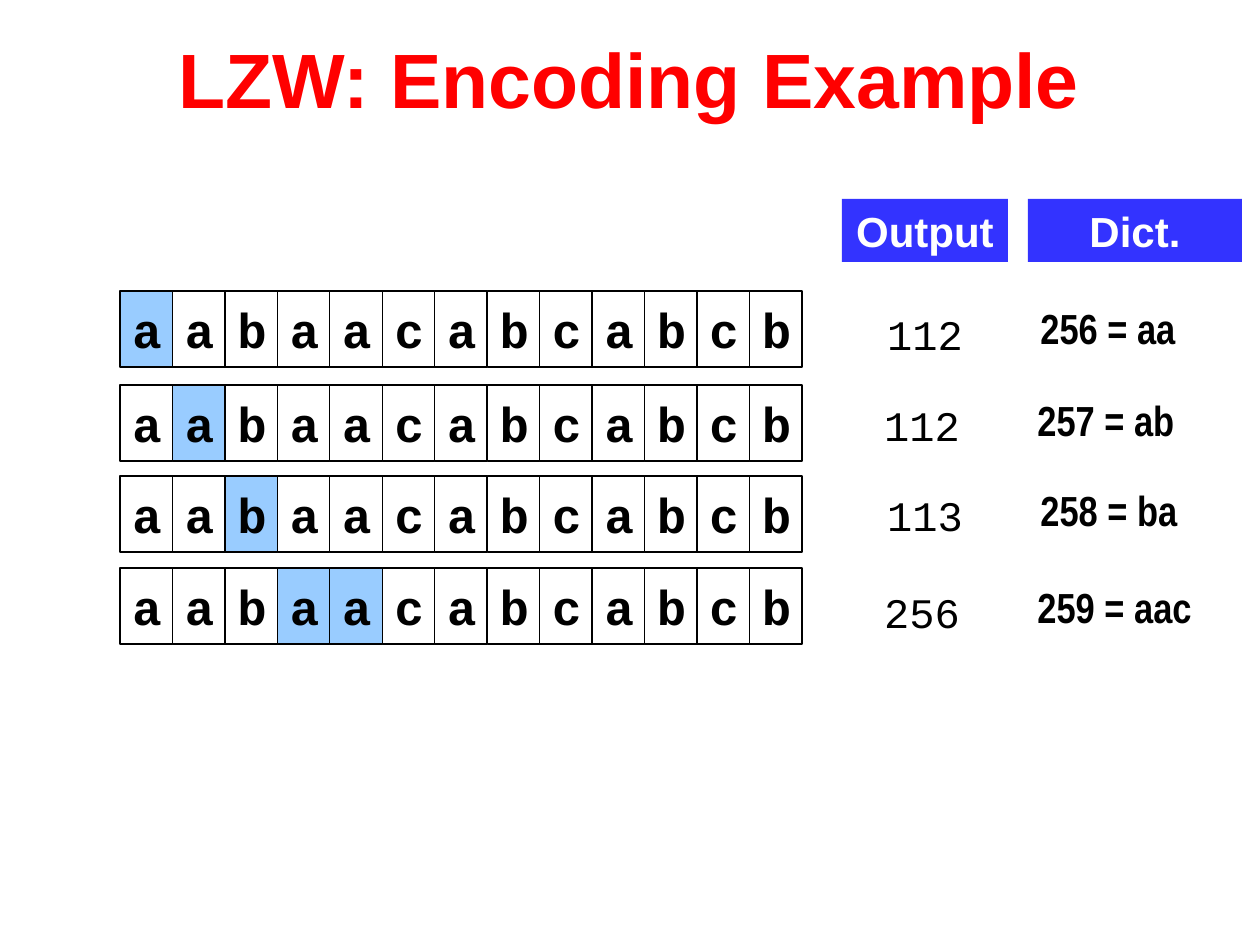
from pptx import Presentation
from pptx.dml.color import RGBColor
from pptx.enum.shapes import MSO_SHAPE
from pptx.enum.text import MSO_ANCHOR as Anchor, PP_ALIGN as Align
from pptx.util import Emu, Pt

TITLE = "LZW: Encoding Example"
MESSAGE = "aabaacabcabcb"
HEADERS = [("Output", 842, 166), ("Dict.", 1028, 214)]
# top of row, highlighted columns, output (text, top), dictionary (text, top, width), shift
STEPS = [
    (291, {0}, ("112", 302), ("256 = aa", 296, 163), 0),
    (385, {1}, ("112", 393), ("257 = ab", 388, 163), -3),
    (476, {2}, ("113", 483), ("258 = ba", 478, 164), 0),
    (568, {3, 4}, ("256", 580), ("259 = aac", 575, 182), -3),
]
OUTPUT_LEFT, OUTPUT_WIDTH = 842, 166
DICT_LEFT = 1028
LABEL_HEIGHT = 63
MESSAGE_LEFT, MESSAGE_WIDTH, CELL_HEIGHT = 120, 682, 76

BLACK, WHITE, RED = "000000", "FFFFFF", "FF0000"
BLUE, LIGHT_BLUE = "3333FF", "99CCFF"


def px(length):
    return Emu(round(length * 914400 / 126))


def rgb(color):
    return RGBColor.from_string(color)


def write(shape, text, size, font, color=BLACK, bold=True,
          align=Align.LEFT, anchor=Anchor.TOP, wrap=True):
    frame = shape.text_frame
    frame.text = text
    frame.word_wrap = wrap
    frame.vertical_anchor = anchor
    line = frame.paragraphs[0]
    line.alignment = align
    run_font = line.runs[0].font
    run_font.size, run_font.name, run_font.bold = Pt(size), font, bold
    run_font.color.rgb = rgb(color)


def add_label(slide, left, top, width, height, *args, **style):
    label = slide.shapes.add_textbox(px(left), px(top), px(width), px(height))
    write(label, *args, **style)


def add_box(slide, left, top, width, height, fill, outline=None):
    box = slide.shapes.add_shape(MSO_SHAPE.RECTANGLE,
                                 px(left), px(top), px(width), px(height))
    box.shadow.inherit = False
    box.fill.solid()
    box.fill.fore_color.rgb = rgb(fill)
    if outline:
        box.line.color.rgb = rgb(outline)
        box.line.width = Pt(0.75)
    else:
        box.line.fill.background()
    return box


def add_message(slide, top, highlighted):
    pitch = MESSAGE_WIDTH / len(MESSAGE)
    for column, letter in enumerate(MESSAGE):
        fill = LIGHT_BLUE if column in highlighted else WHITE
        cell = add_box(slide, MESSAGE_LEFT + column * pitch, top,
                       pitch, CELL_HEIGHT, fill, BLACK)
        write(cell, letter, 28, "Courier New", anchor=Anchor.MIDDLE, wrap=False)


def main():
    deck = Presentation()
    deck.slide_width, deck.slide_height = px(1260), px(945)
    slide = deck.slides.add_slide(deck.slide_layouts[6])

    add_label(slide, 94, 10, 1071, 135, TITLE, 44, "Arial", RED,
              align=Align.CENTER, anchor=Anchor.MIDDLE)
    for heading, left, width in HEADERS:
        box = add_box(slide, left, 199, width, LABEL_HEIGHT, BLUE)
        write(box, heading, 24, "Arial", WHITE, align=Align.CENTER)

    for top, highlighted, output, entry, shift in STEPS:
        add_message(slide, top, highlighted)
        code, code_top = output
        add_label(slide, OUTPUT_LEFT + shift, code_top, OUTPUT_WIDTH, LABEL_HEIGHT,
                  code, 24, "Courier New", bold=False, align=Align.CENTER)
        phrase, phrase_top, phrase_width = entry
        add_label(slide, DICT_LEFT + shift, phrase_top, phrase_width, LABEL_HEIGHT,
                  phrase, 24, "Arial Narrow", wrap=False)

    deck.save("out.pptx")


if __name__ == "__main__":
    main()
